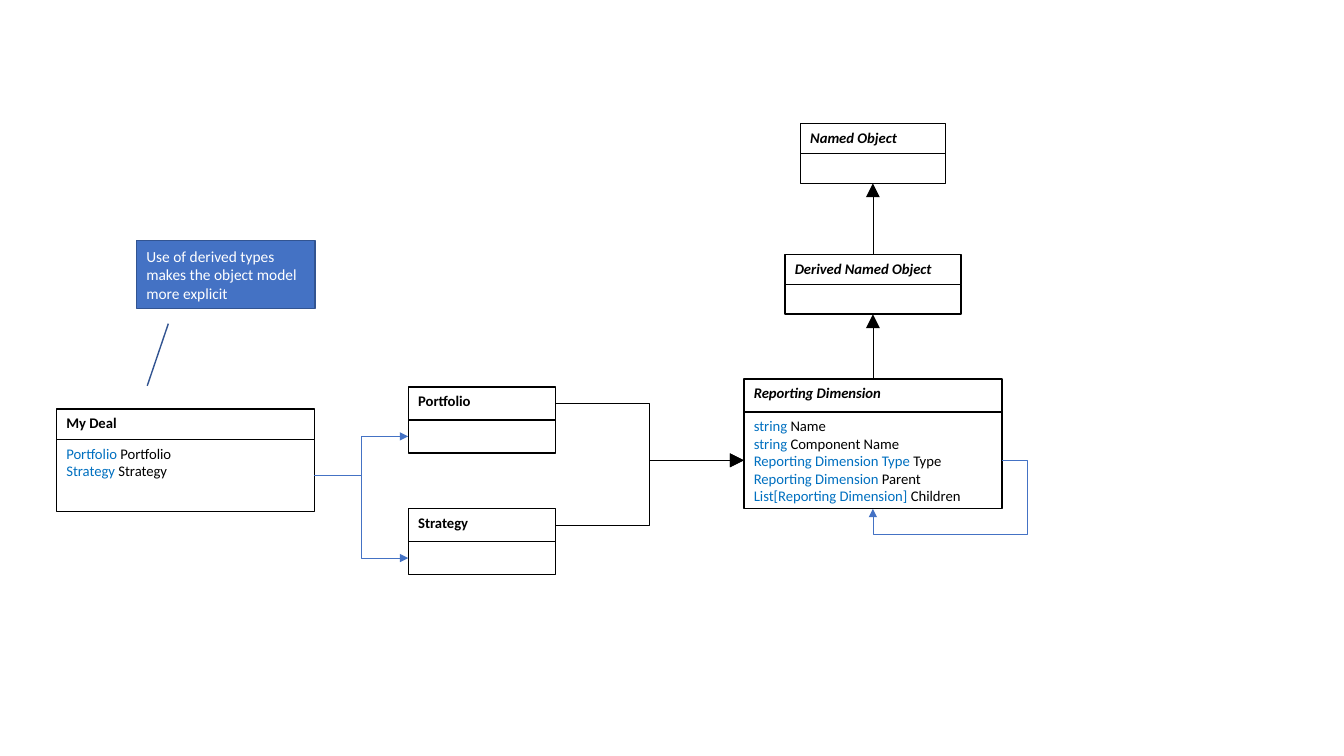
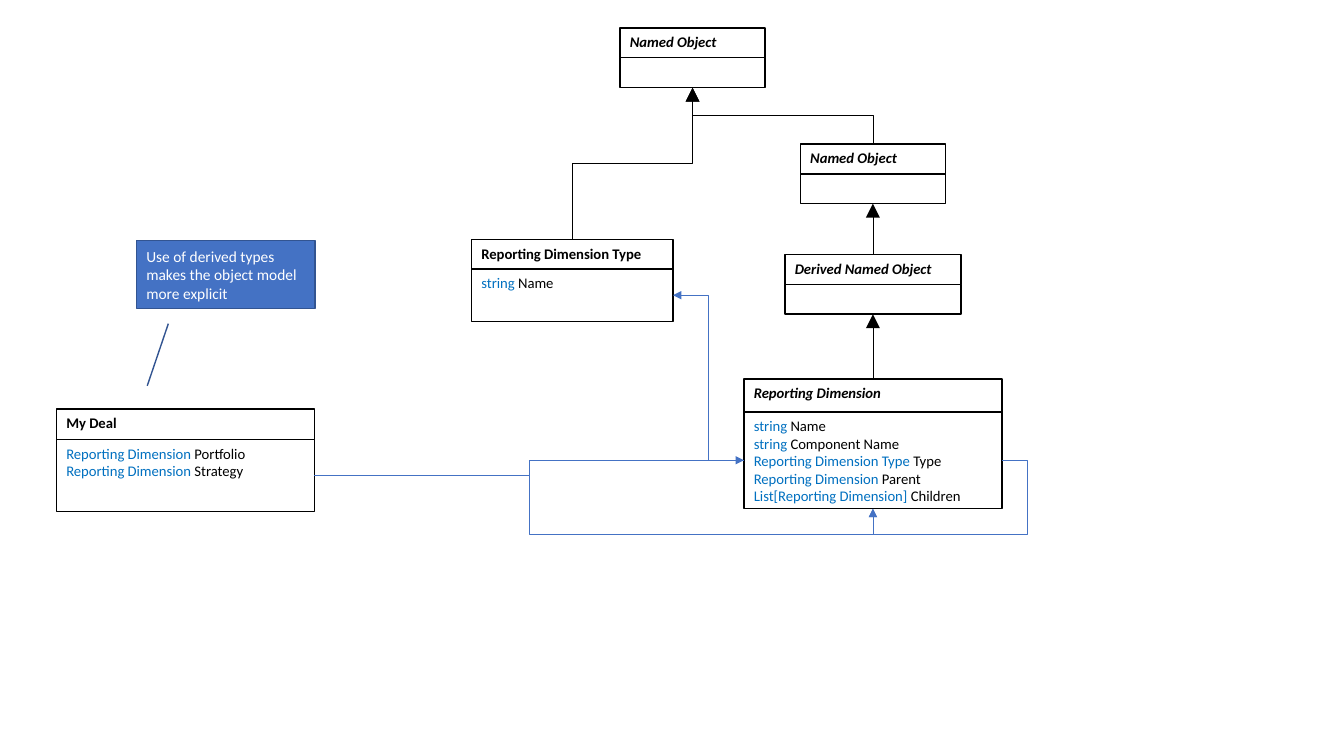
from lxml.etree import SubElement
from pptx import Presentation
from pptx.dml.color import RGBColor
from pptx.enum.shapes import MSO_CONNECTOR as Link, MSO_SHAPE as Preset
from pptx.enum.text import MSO_ANCHOR as Anchor, PP_ALIGN as Align
from pptx.oxml.ns import qn
from pptx.util import Inches, Pt

WIDTH, HEIGHT = Inches(13.333), Inches(7.5)
BLACK, WHITE, BLUE, NAVY, TYPE_BLUE = "000000", "FFFFFF", "4472C4", "325491", "0070C0"
FONT = "Calibri"
TOP, LEFT, BOTTOM, RIGHT = range(4)
DIMENSION_X = 64.95
LOOP_X, LOOP_Y = 76.42, 70.67
DIMENSION_FIELDS = [
    ("string", " Name"),
    ("string", " Component Name"),
    ("Reporting Dimension Type", " Type"),
    ("Reporting Dimension ", "Parent"),
    ("List[Reporting Dimension] ", "Children"),
]


def across(percent):
    """Turn a share of the slide's width into a length."""
    return round(WIDTH * percent / 100)


def down(percent):
    """Turn a share of the slide's height into a length."""
    return round(HEIGHT * percent / 100)


def color(value):
    """Turn a hex string into a colour."""
    return RGBColor.from_string(value)


def add_box(shapes, preset, left, top, width, height, fill, line):
    """Add a flat, outlined shape placed by shares of the slide."""
    box = shapes.add_shape(preset, across(left), down(top), across(width), down(height))
    box.shadow.inherit = False
    box.fill.solid()
    box.fill.fore_color.rgb = color(fill)
    box.line.color.rgb = color(line)
    box.line.width = Pt(1)
    box.text_frame.word_wrap = True
    box.text_frame.vertical_anchor = Anchor.TOP
    return box


def write(box, lines, size=10.5, bold=False, italic=False):
    """Write lines, each a list of (text, colour) spans."""
    frame = box.text_frame
    for number, spans in enumerate(lines):
        para = frame.add_paragraph() if number else frame.paragraphs[0]
        para.alignment = Align.LEFT
        font = para.font
        font.name, font.size, font.bold, font.italic = FONT, Pt(size), bold, italic
        for text, tint in spans:
            span = para.add_run()
            span.text = text
            span.font.color.rgb = color(tint)


def add_class(page, name, center, top, width, head, body, fields=(), abstract=False):
    """Add a grouped class box and return its header and body."""
    shapes = page.shapes.add_group_shape().shapes
    left = center - width / 2
    header = add_box(shapes, Preset.RECTANGLE, left, top, width, head, WHITE, BLACK)
    write(header, [[(name, BLACK)]], bold=True, italic=abstract)
    content = add_box(shapes, Preset.RECTANGLE, left, top + head, width, body, WHITE, BLACK)
    write(content, [[(kind, TYPE_BLUE), (label, BLACK)] for kind, label in fields])
    return header, content


def add_arrow(page, source, source_site, target, target_site, tint, head, kind=Link.ELBOW):
    """Connect two sites with an arrow that points at the target."""
    arrow = page.shapes.add_connector(kind, 0, 0, 0, 0)
    arrow.begin_connect(source, source_site)
    arrow.end_connect(target, target_site)
    arrow.line.color.rgb = color(tint)
    arrow.line.width = Pt(0.5)
    SubElement(arrow.line._get_or_add_ln(), qn("a:tailEnd"), type="triangle", w=head, len=head)
    SubElement(arrow._element.spPr, qn("a:effectLst"))
    return arrow


def refer(page, source, target, site=LEFT):
    """Add a blue reference arrow from the right of the source."""
    return add_arrow(page, source, RIGHT, target, site, BLUE, "med")


def refer_around(page, source, target, turn_x, turn_y):
    """Add a reference that passes a turning point and enters from below."""
    arrow = refer(page, source, target, BOTTOM)
    turns = (
        (across(turn_x) - arrow.begin_x) / (arrow.end_x - arrow.begin_x),
        (down(turn_y) - arrow.begin_y) / (arrow.end_y - arrow.begin_y),
    )
    outline = arrow._element.spPr.find(qn("a:prstGeom"))
    outline.set("prst", "bentConnector4")
    guides = outline.find(qn("a:avLst"))
    for number, turn in enumerate(turns, 1):
        SubElement(guides, qn("a:gd"), name=f"adj{number}", fmla=f"val {round(turn * 100000)}")


def inherit_up(page, child, parent):
    """Add an inheritance arrow from a child's header up to its parent's body."""
    straight = abs(child.left + child.width / 2 - parent.left - parent.width / 2) < across(0.1)
    kind = Link.STRAIGHT if straight else Link.ELBOW
    arrow = add_arrow(page, child, TOP, parent, BOTTOM, BLACK, "lg", kind)
    if straight:
        return
    run, rise = arrow.end_x - arrow.begin_x, arrow.begin_y - arrow.end_y
    middle_x, middle_y = (arrow.begin_x + arrow.end_x) // 2, (arrow.begin_y + arrow.end_y) // 2
    frame = arrow._element.spPr.find(qn("a:xfrm"))
    frame.attrib.clear()
    frame.set("rot", str(270 * 60000))
    if run < 0:
        frame.set("flipV", "1")
    arrow.width, arrow.height = rise, abs(run)
    arrow.left, arrow.top = middle_x - rise // 2, middle_y - abs(run) // 2


def add_callout(page):
    """Add the blue remark that points at the deal."""
    note = add_box(page.shapes, Preset.LINE_CALLOUT_1, 10.15, 31.85, 13.3, 8.95, BLUE, NAVY)
    for number, share in enumerate((1.225, 0.179, 2.144, 0.061)):
        note.adjustments[number] = share
    note.text_frame.vertical_anchor = Anchor.MIDDLE
    write(note, [[("Use of derived types makes the object model more explicit", WHITE)]], size=11)


def add_named(page, center, top):
    """Add a Named Object class."""
    return add_class(page, "Named Object", center, top, 10.8, 3.95, 3.95, abstract=True)


def add_model(page, deal_fields, named_top):
    """Add what both models share; return the deal, named and dimension classes."""
    deal = add_class(page, "My Deal", 13.8, 54.13, 19.2, 4, 9.55, deal_fields)
    dimension = add_class(page, "Reporting Dimension", DIMENSION_X, 50.15, 19.2, 4.33, 12.83,
                          DIMENSION_FIELDS, abstract=True)
    named = add_named(page, DIMENSION_X, named_top)
    derived = add_class(page, "Derived Named Object", DIMENSION_X, 33.67, 13.1, 3.95, 3.95,
                        abstract=True)
    refer_around(page, dimension[1], dimension[1], LOOP_X, LOOP_Y)
    inherit_up(page, dimension[0], derived[1])
    inherit_up(page, derived[0], named[1])
    add_callout(page)
    return deal, named, dimension


def build_derived_types(page):
    """Show the deal using one derived class per dimension."""
    fields = [("Portfolio ", "Portfolio"), ("Strategy ", "Strategy")]
    deal, _, dimension = add_model(page, fields, 16.35)
    for name, top in (("Strategy", 67.3), ("Portfolio", 51.2)):
        header, body = add_class(page, name, 35.85, top, 10.95, 4.35, 4.35)
        refer(page, deal[1], body)
        add_arrow(page, header, RIGHT, dimension[1], LEFT, BLACK, "lg")


def build_dimension_type(page):
    """Show the deal using the dimension class and its type directly."""
    fields = [("Reporting Dimension", " Portfolio"), ("Reporting Dimension", " Strategy")]
    deal, named, dimension = add_model(page, fields, 19.05)
    dimension_type = add_class(page, "Reporting Dimension Type", 42.58, 31.7, 15, 3.9, 6.9,
                               [("string", " Name")])
    root = add_named(page, 51.53, 3.7)
    refer(page, deal[1], dimension[1])
    refer_around(page, deal[1], dimension[1], 39.4, LOOP_Y)
    add_arrow(page, dimension[1], LEFT, dimension_type[1], RIGHT, BLUE, "med")
    for child in (dimension_type, named):
        inherit_up(page, child[0], root[1])


def main():
    """Build and save the deck."""
    deck = Presentation()
    deck.slide_width, deck.slide_height = WIDTH, HEIGHT
    for build in (build_derived_types, build_dimension_type):
        build(deck.slides.add_slide(deck.slide_layouts[6]))
    deck.save("out.pptx")


if __name__ == "__main__":
    main()
